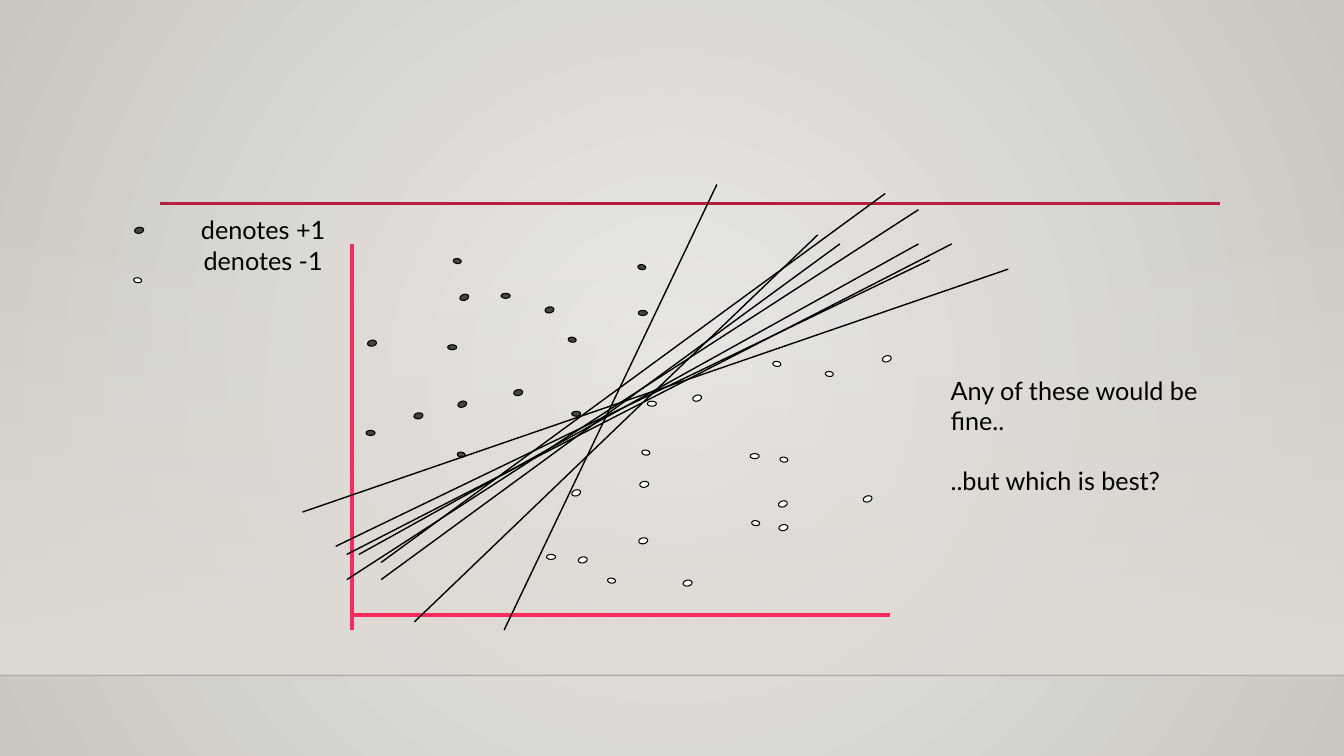
from dataclasses import dataclass
from lxml.etree import SubElement as Sub
from pptx import Presentation
from pptx.dml.color import RGBColor as RGB
from pptx.enum.shapes import MSO_CONNECTOR as Conn, MSO_SHAPE as Shape
from pptx.enum.text import PP_ALIGN as Align
from pptx.oxml.ns import qn
from pptx.util import Inches, Pt


@dataclass(frozen=True)
class Theme:
    font: str = "Lato"
    size: float = 18
    gap: float = 21.6
    ink: str = "000000"
    edge: str = "000001"
    glow: str = "ECEAE7"
    rim: str = "CAC7C1"
    floor: str = "DFDBD5"
    rule: str = "B71E42"
    axis: str = "FA2B5C"
    plus: str = "454545"
    minus: str = "FFFFFF"


@dataclass(frozen=True)
class Line:
    start: tuple[float, float]
    end: tuple[float, float]
    color: str
    width: float


@dataclass(frozen=True)
class Dots:
    """Dots of one tilt and size, given by their left and top."""
    size: tuple[float, float]
    turn: float
    plus: list[tuple[float, float]]
    minus: list[tuple[float, float]]


THEME = Theme()

RULE = Line((1.59, 2.02), (12.1, 2.02), THEME.rule, 2.5)
AXES = [
    Line((3.49, 2.42), (3.49, 6.25), THEME.axis, 3),
    Line((3.49, 6.1), (8.83, 6.1), THEME.axis, 3),
]
SPLITS = [Line(start, end, THEME.ink, 1) for start, end in [
    ((5, 6.25), (7.11, 1.83)),
    ((3.33, 5.42), (9.22, 2.58)),
    ((3.78, 5.75), (8.33, 2.42)),
    ((3, 5.08), (10, 2.67)),
    ((3.56, 5.5), (9.11, 2.42)),
    ((3.44, 5.75), (9.11, 2.08)),
    ((3.78, 5.58), (8.78, 1.92)),
    ((4.11, 6.17), (8.11, 2.33)),
    ((3.44, 5.5), (9.44, 2.42)),
]]
GROUPS = [
    Dots((0.09, 0.05), 0,
         [(3.63, 4.27), (6.33, 3.08), (4.97, 2.91), (5.67, 4.08), (4.44, 3.42)],
         [(5.42, 5.5), (6.42, 3.98), (7.44, 4.5)]),
    Dots((0.09, 0.06), 341.4,
         [(4.56, 2.92), (4.54, 3.98)],
         [(5.67, 4.86), (8.75, 3.53), (7.72, 4.97), (6.87, 3.92), (8.56, 4.92)]),
    Dots((0.05, 0.08), 98.3,
         [(5.65, 3.33), (4.55, 4.47), (6.34, 2.61), (4.51, 2.55)],
         [(1.34, 2.74), (6.04, 5.72), (7.75, 4.52), (6.38, 4.45), (8.2, 3.67),
          (7.68, 3.57), (7.47, 5.15)]),
    Dots((0.06, 0.09), 79.6,
         [(1.35, 2.24), (5.11, 3.85), (4.12, 4.08), (5.42, 3.03), (3.66, 3.36)],
         [(6.79, 5.74), (6.35, 5.32), (6.36, 4.76), (5.75, 5.51), (7.74, 5.19)]),
]


def fade(node, percent: int) -> None:
    """Set the opacity of a colour element."""
    Sub(node, qn("a:alpha")).set("val", str(percent * 1000))


def blend(fill, colors: tuple[str, str]) -> None:
    fill.gradient()
    for stop, color in zip(fill.gradient_stops, colors):
        stop.color.rgb = RGB.from_string(color)


def draw_line(slide, line: Line):
    ends = [Inches(n) for n in (*line.start, *line.end)]
    link = slide.shapes.add_connector(Conn.STRAIGHT, *ends)
    link.line.color.rgb = RGB.from_string(line.color)
    link.line.width = Pt(line.width)
    Sub(link.element.spPr, qn("a:effectLst"))
    return link


def draw_dots(slide, dots: Dots) -> None:
    for spots, color in ((dots.plus, THEME.plus), (dots.minus, THEME.minus)):
        for spot in spots:
            box = [Inches(n) for n in (*spot, *dots.size)]
            dot = slide.shapes.add_shape(Shape.OVAL, *box)
            dot.rotation = dots.turn
            dot.shadow.inherit = False
            dot.fill.solid()
            dot.fill.fore_color.rgb = RGB.from_string(color)
            dot.line.color.rgb = RGB.from_string(THEME.ink)
            dot.line.width = Pt(0.75)


def write(slide, lines: list[str], box: tuple[float, float, float, float], *,
          align: Align = Align.LEFT, gap: float = 0) -> None:
    frame = slide.shapes.add_textbox(*[Inches(n) for n in box]).text_frame
    frame.word_wrap = True
    for i, text in enumerate(lines):
        para = frame.add_paragraph() if i else frame.paragraphs[0]
        para.alignment = align
        para.space_before = Pt(gap if i else 0)
        run = para.add_run()
        run.text = text
        run.font.name = THEME.font
        run.font.size = Pt(THEME.size)
        run.font.color.rgb = RGB.from_string(THEME.ink)


def draw_back(slide) -> None:
    """Paint the round glow, the floor band and its edge."""
    blend(slide.background.fill, (THEME.glow, THEME.rim))
    grad = slide.element.find(".//" + qn("a:gradFill"))
    grad.remove(grad.find(qn("a:lin")))
    ring = Sub(grad, qn("a:path"))
    ring.set("path", "circle")
    center = Sub(ring, qn("a:fillToRect"))
    for side in "ltrb":
        center.set(side, "50000")

    box = [Inches(n) for n in (0, 2.21, 13.33, 4.49)]
    band = slide.shapes.add_shape(Shape.RECTANGLE, *box)
    band.shadow.inherit = False
    band.line.fill.background()
    blend(band.fill, (THEME.floor, THEME.floor))
    band.fill.gradient_angle = 270
    fade(band.element.find(".//" + qn("a:srgbClr")), 0)

    edge = draw_line(slide, Line((0, 6.7), (13.33, 6.7), THEME.edge, 1))
    fade(edge.element.find(".//" + qn("a:srgbClr")), 20)


def main() -> None:
    deck = Presentation()
    deck.slide_width, deck.slide_height = Inches(13.33), Inches(7.5)
    slide = deck.slides.add_slide(deck.slide_layouts[6])
    draw_back(slide)
    draw_line(slide, RULE)
    write(slide, ["denotes +1", "denotes -1"], (1.22, 2.08, 2.78, 0.71),
          align=Align.CENTER)
    for line in AXES:
        draw_line(slide, line)
    for dots in GROUPS:
        draw_dots(slide, dots)
    write(slide, ["Any of these would be fine..", "..but which is best?"],
          (9.33, 3.67, 3.22, 1.01), gap=THEME.gap)
    for line in SPLITS:
        draw_line(slide, line)
    deck.save("out.pptx")


if __name__ == "__main__":
    main()
